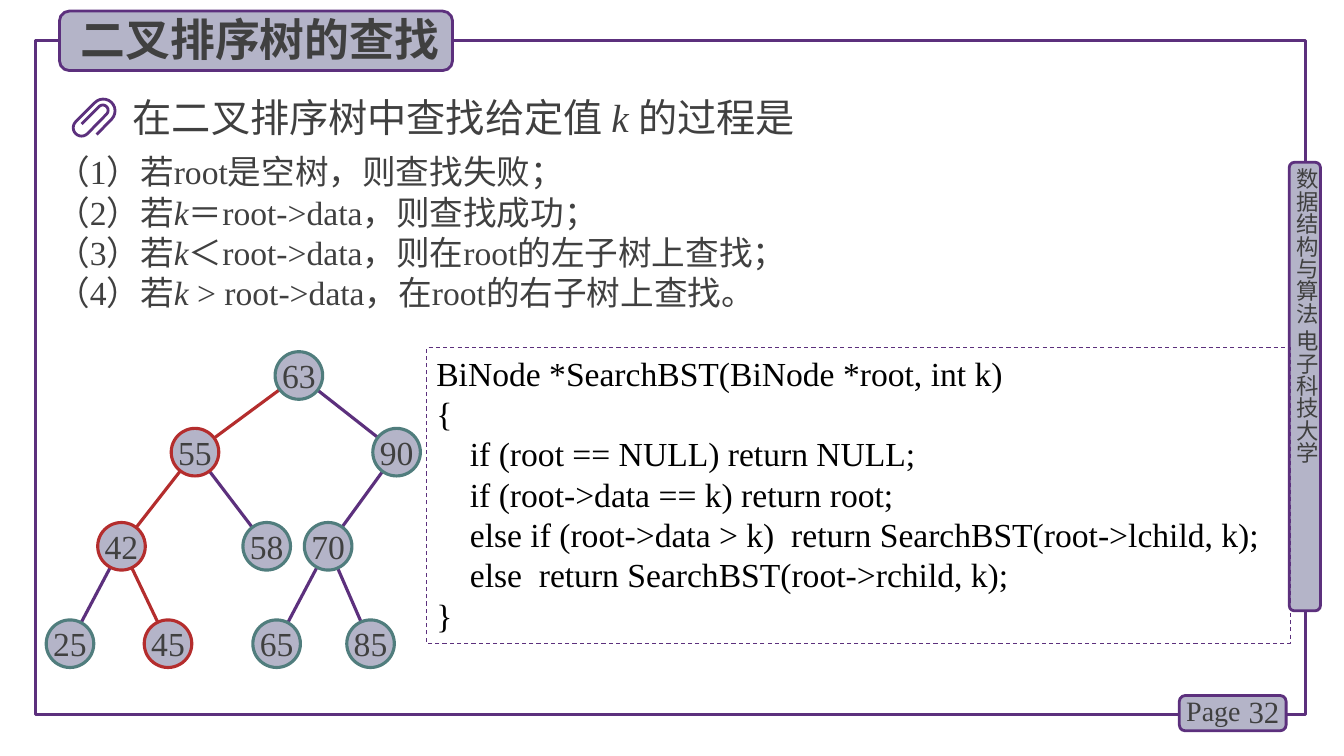
from dataclasses import dataclass
from math import atan2, cos, hypot, pi, sin

from lxml.etree import SubElement as Sub
from pptx import Presentation
from pptx.dml.color import RGBColor as Rgb
from pptx.enum.dml import MSO_LINE as Dash
from pptx.enum.shapes import MSO_CONNECTOR as Link, MSO_SHAPE as Form
from pptx.enum.text import MSO_ANCHOR as Anchor, PP_ALIGN as Align
from pptx.oxml.ns import qn
from pptx.util import Pt


@dataclass(frozen=True)
class Theme:
    serif: str = "Times New Roman"
    sans: str = "Noto Sans CJK SC"
    ink: str = "404040"
    black: str = "000000"
    plate: str = "B4B4C8"
    purple: str = "5C307D"
    teal: str = "507D7D"
    red: str = "B42D2D"
    title: int = 32
    lead: int = 28
    body: int = 24
    count: int = 22
    page: int = 20
    side: int = 16
    thin: float = 0.75
    rim: float = 2
    thick: float = 2.25


@dataclass(frozen=True)
class Box:
    left: float
    top: float
    width: float
    height: float

    def place(self) -> tuple:
        return Pt(self.left), Pt(self.top), Pt(self.width), Pt(self.height)


@dataclass(frozen=True)
class Node:
    x: float
    y: float
    found: bool = False
    parent: int = 0


THEME = Theme()
SIZE = 34
ROWS = (268.2, 323, 390.2, 459.8)
TREE = {
    63: Node(213.5, ROWS[0]),
    55: Node(139.3, ROWS[1], True, 63),
    90: Node(283.3, ROWS[1], False, 63),
    42: Node(86.8, ROWS[2], True, 55),
    58: Node(190.5, ROWS[2], False, 55),
    70: Node(234.4, ROWS[2], False, 90),
    25: Node(50, ROWS[3], False, 42),
    45: Node(120, ROWS[3], True, 42),
    65: Node(197.6, ROWS[3], False, 70),
    85: Node(264.7, ROWS[3], False, 70),
}
STEPS = (
    ("（1）若root是空树，则查找失败；",),
    ("（2）若", "k", "＝root->data，则查找成功；"),
    ("（3）若", "k", "＜root->data，则在root的左子树上查找；"),
    ("（4）若", "k ", "> root->data，在root的右子树上查找。"),
)
CODE = """BiNode *SearchBST(BiNode *root, int k)
{
    if (root == NULL) return NULL;
    if (root->data == k) return root;
    else if (root->data > k)  return SearchBST(root->lchild, k);
    else  return SearchBST(root->rchild, k);
}"""
PLATES = (
    Box(920.9, 115.9, 22.3, 320.4),
    Box(842.4, 496.8, 76.3, 25.2),
    Box(42.5, 7.9, 280.8, 42.5),
)
CLIP = (
    (69.1, 96.1), (79.9, 85), (67.7, 73.4), (54, 87.1),
    (62.6, 95.4), (76.3, 81.4), (70.6, 76.3), (58.3, 88.6),
)


def style(frame, size: float, color: str = THEME.ink, face: str = THEME.serif,
          bold: bool = False) -> None:
    for para in frame.paragraphs:
        for run in para.runs:
            font = run.font
            font.size, font.name, font.bold = Pt(size), face, bold
            font.color.rgb = Rgb.from_string(color)
            Sub(font._element, qn("a:ea")).set("typeface", THEME.sans)


def pad(frame, gap: float) -> None:
    frame.margin_left = frame.margin_right = Pt(gap)
    frame.margin_top = frame.margin_bottom = Pt(gap)


def shape(slide, form, box: Box, color: str, width: float, fill: str = ""):
    item = slide.shapes.add_shape(form, *box.place())
    item.shadow.inherit = False
    if fill:
        item.fill.solid()
        item.fill.fore_color.rgb = Rgb.from_string(fill)
    else:
        item.fill.background()
    item.line.color.rgb = Rgb.from_string(color)
    item.line.width = Pt(width)
    return item


def label(slide, box: Box, text: str, size: float, wrap: bool = True,
          face: str = THEME.serif):
    frame = slide.shapes.add_textbox(*box.place()).text_frame
    frame.word_wrap = wrap
    frame.text = text
    style(frame, size, face=face)
    return frame


def prose(slide, box: Box, lines: tuple, size: float, align) -> None:
    frame = slide.shapes.add_textbox(*box.place()).text_frame
    frame.word_wrap = True
    for row, parts in enumerate(lines):
        para = frame.add_paragraph() if row else frame.paragraphs[0]
        para.alignment = align if row else Align.LEFT
        for spot, part in enumerate(parts):
            run = para.add_run()
            run.text = part
            run.font.italic = spot == 1
    style(frame, size)


def edge(slide, start: Node, end: Node) -> None:
    turn = atan2(end.y - start.y, end.x - start.x)
    dx, dy = SIZE / 2 * cos(turn), SIZE / 2 * sin(turn)
    line = slide.shapes.add_connector(
        Link.STRAIGHT, Pt(start.x + dx), Pt(start.y + dy),
        Pt(end.x - dx), Pt(end.y - dy))
    line.line.color.rgb = Rgb.from_string(THEME.red if end.found else THEME.purple)
    line.line.width = Pt(THEME.thick)
    Sub(line._element.spPr, qn("a:effectLst"))


def knot(slide, key: int, node: Node) -> None:
    box = Box(node.x - SIZE / 2, node.y - SIZE / 2, SIZE, SIZE)
    rim = THEME.red if node.found else THEME.teal
    frame = shape(slide, Form.OVAL, box, rim, THEME.thick, THEME.plate).text_frame
    pad(frame, 0)
    frame.word_wrap = False
    frame.vertical_anchor = Anchor.TOP
    frame.text = str(key)
    frame.paragraphs[0].alignment = Align.CENTER
    frame.paragraphs[0].line_spacing = Pt(26)
    style(frame, THEME.body)


def clip(slide) -> None:
    dots = [CLIP[0]]
    for (ax, ay), (bx, by) in zip(CLIP[1:-1:2], CLIP[2:-1:2]):
        mx, my = (ax + bx) / 2, (ay + by) / 2
        ray, turn = hypot(ax - mx, ay - my), atan2(ay - my, ax - mx)
        dots += [(mx + ray * cos(turn - pi * step / 12),
                  my + ray * sin(turn - pi * step / 12)) for step in range(13)]
    dots.append(CLIP[-1])
    grid = [(round(x * 100), round(y * 100)) for x, y in dots]
    pen = slide.shapes.build_freeform(*grid[0], scale=Pt(1) / 100)
    pen.add_line_segments(grid[1:], close=False)
    item = pen.convert_to_shape()
    item.shadow.inherit = False
    item.fill.background()
    item.line.color.rgb = Rgb.from_string(THEME.purple)
    item.line.width = Pt(THEME.rim)


def head(slide) -> None:
    title = slide.shapes.title
    title.left, title.top, title.width, title.height = Box(50.4, 5, 272.9, 46.1).place()
    frame = title.text_frame
    frame.text = "二叉排序树的查找"
    frame.word_wrap = True
    frame.vertical_anchor = Anchor.TOP
    frame.paragraphs[0].alignment = Align.LEFT
    style(frame, THEME.title, face=THEME.sans, bold=True)
    slide.shapes._spTree.append(title._element)


def main() -> None:
    deck = Presentation()
    deck.slide_width, deck.slide_height = Pt(960), Pt(540)
    slide = deck.slides.add_slide(deck.slide_layouts[5])

    shape(slide, Form.RECTANGLE, Box(25.2, 28.8, 907.2, 481.7), THEME.purple, THEME.thick)
    for box in PLATES:
        shape(slide, Form.ROUNDED_RECTANGLE, box, THEME.purple, THEME.rim, THEME.plate)
    side = label(slide, Box(923.8, 120.2, 19.4, 323.3), "数据结构与算法 电子科技大学",
                 THEME.side, face=THEME.sans)
    pad(side, 0)
    side._txBody.bodyPr.set("vert", "eaVert")
    count = label(slide, Box(878.4, 493.9, 42.5, 28.8), "32", THEME.count)
    count.vertical_anchor = Anchor.MIDDLE
    count.paragraphs[0].alignment = Align.RIGHT
    label(slide, Box(840.2, 491.8, 56.2, 31.7), "Page", THEME.page, False)
    head(slide)

    lead = (("在二叉排序树中查找给定值 ", "k ", "的过程是"),)
    prose(slide, Box(87.8, 63.4, 669.6, 41), lead, THEME.lead, Align.LEFT)
    prose(slide, Box(33.1, 104.4, 545, 123.8), STEPS, THEME.body, Align.JUSTIFY)
    for node in TREE.values():
        if node.parent:
            edge(slide, TREE[node.parent], node)
    for key, node in TREE.items():
        knot(slide, key, node)
    clip(slide)

    code = shape(slide, Form.RECTANGLE, Box(304.6, 248.4, 617, 211), THEME.purple, THEME.thin)
    code.line.dash_style = Dash.DASH
    frame = code.text_frame
    frame.text = CODE
    frame.vertical_anchor = Anchor.TOP
    for para in frame.paragraphs:
        para.alignment = Align.LEFT
    style(frame, THEME.body, THEME.black)
    deck.save("out.pptx")


if __name__ == "__main__":
    main()
